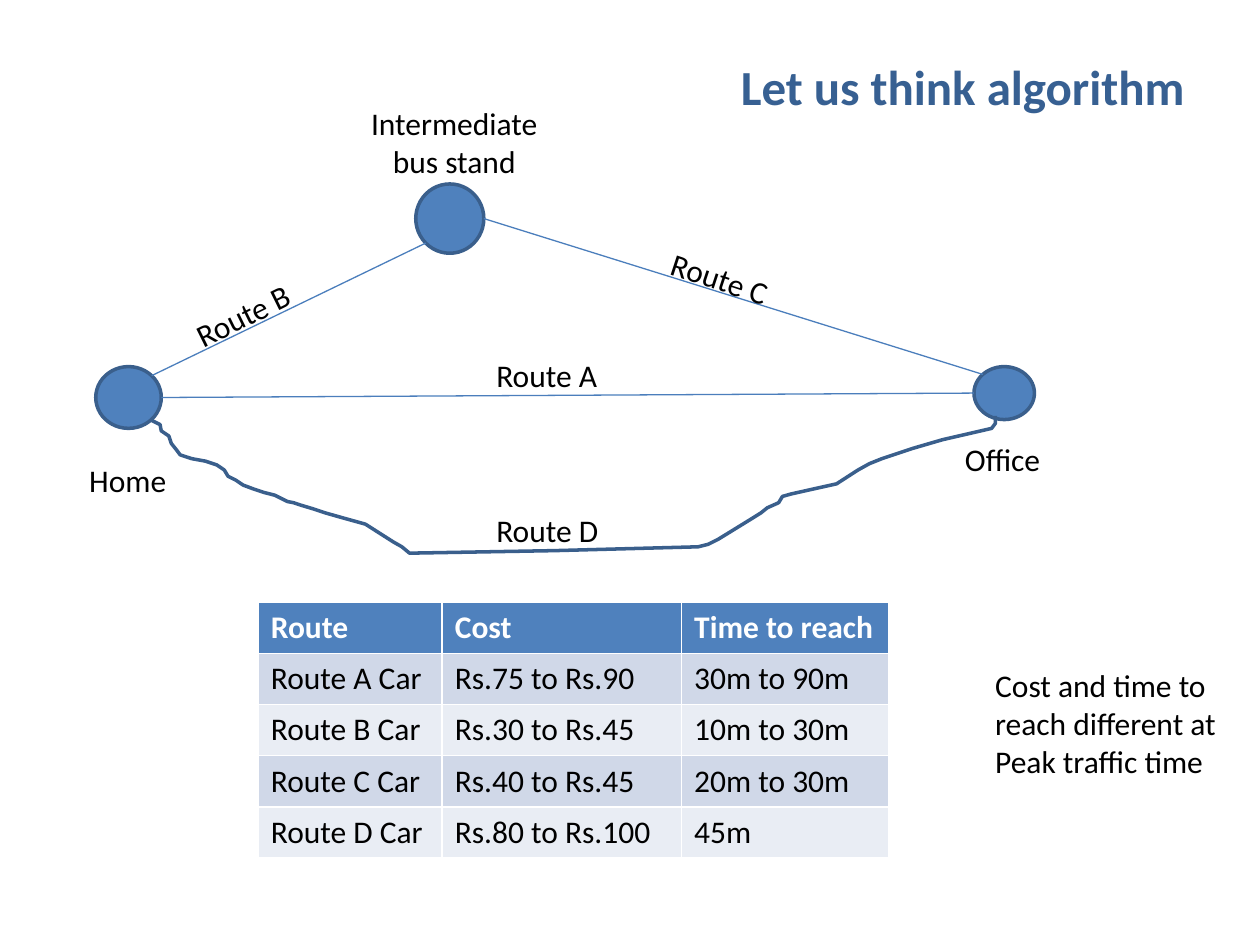
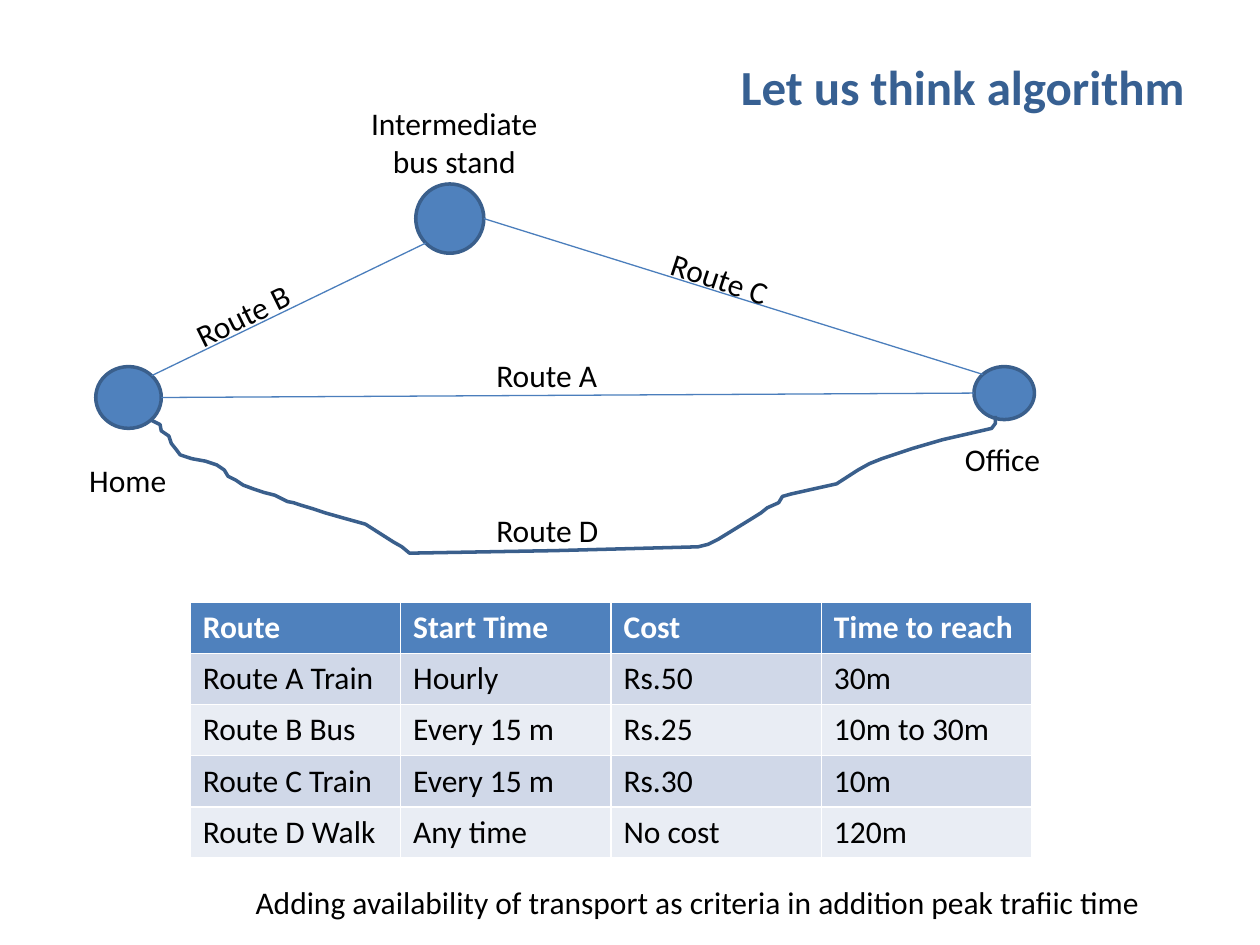
from math import cos, radians, sin

from lxml.etree import SubElement
from pptx import Presentation
from pptx.dml.color import RGBColor
from pptx.enum.shapes import MSO_CONNECTOR, MSO_SHAPE
from pptx.enum.text import MSO_ANCHOR, MSO_AUTO_SIZE, PP_ALIGN
from pptx.oxml.ns import qn
from pptx.util import Inches, Pt

FONT = "Calibri"
TITLE_BLUE = RGBColor(0x37, 0x60, 0x92)
BLUE = RGBColor(0x4F, 0x81, 0xBD)
OUTLINE_BLUE = RGBColor(0x3A, 0x5F, 0x8C)
ROUTE_BLUE = RGBColor(0x4B, 0x7E, 0xBC)
DARK_BAND = RGBColor(0xD0, 0xD8, 0xE8)
LIGHT_BAND = RGBColor(0xE9, 0xED, 0xF4)
WHITE = RGBColor(0xFF, 0xFF, 0xFF)
BLACK = RGBColor(0, 0, 0)

TITLE = "Let us think algorithm"
TITLE_BOX = (1.61, 0.38, 7.89, 0.61)
TABLE_TOP, TABLE_HEIGHT = 4.78, 2.03

# Places: left, top, width, height
PLACES = {
    "Home": (0.76, 2.91, 0.52, 0.49),
    "Office": (7.73, 2.91, 0.48, 0.42),
    "Bus stand": (3.3, 1.46, 0.54, 0.55),
}
# Straight routes: place and angle on its rim (clockwise from the right), twice
STRAIGHT_ROUTES = [
    ("Home", 0, "Office", 180),
    ("Home", -45, "Bus stand", 135),
    ("Bus stand", 0, "Office", -135),
]
WALKING_ROUTE = [
    (1.19, 3.33), (1.27, 3.37), (1.28, 3.42), (1.34, 3.46), (1.36, 3.52),
    (1.4, 3.57), (1.43, 3.61), (1.52, 3.64), (1.63, 3.66), (1.72, 3.69),
    (1.78, 3.73), (1.81, 3.78), (1.87, 3.81), (1.93, 3.85), (2.01, 3.88),
    (2.1, 3.91), (2.18, 3.93), (2.28, 3.98), (2.33, 3.99), (2.39, 4.01),
    (2.49, 4.04), (2.58, 4.07), (2.72, 4.11), (2.9, 4.16), (3.12, 4.3),
    (3.19, 4.34), (3.25, 4.39), (4.4, 4.37), (5.54, 4.34), (5.62, 4.32),
    (5.7, 4.28), (5.83, 4.2), (5.96, 4.12), (6.04, 4.07), (6.09, 4.03),
    (6.18, 3.99), (6.21, 3.94), (6.28, 3.92), (6.37, 3.9), (6.64, 3.84),
    (6.81, 3.73), (6.9, 3.68), (7, 3.64), (7.24, 3.56), (7.48, 3.49),
    (7.87, 3.4), (7.9, 3.36), (7.9, 3.3),
]
# Labels: text, box, rotation
LABELS = [
    ("Home", (0.61, 3.61, 0.82, 0.4), 0),
    ("Office", (7.56, 3.44, 0.81, 0.4), 0),
    ("Route A", (3.84, 2.78, 1.01, 0.4), 0),
    ("Route B", (1.43, 2.3, 1, 0.4), 333.7),
    ("Route C", (5.22, 2.01, 1, 0.4), 18.2),
    ("Route D", (3.84, 4.01, 1.02, 0.4), 0),
]
BUS_STAND_LABEL = ("Intermediate bus stand", (2.66, 0.78, 1.89, 0.71))

SLIDES = [
    {
        "grouped": False,
        "table_left": 2.05,
        "columns": [1.46, 1.9, 1.64],
        "rows": [
            ("Route", "Cost", "Time to reach"),
            ("Route A Car", "Rs.75 to Rs.90", "30m to 90m"),
            ("Route B Car", "Rs.30 to Rs.45", "10m to 30m"),
            ("Route C Car", "Rs.40 to Rs.45", "20m to 30m"),
            ("Route D Car", "Rs.80 to Rs.100", "45m"),
        ],
        "note": "Cost and time to reach different at Peak traffic time",
        "note_box": (7.8, 5.24, 2.07, 1.01),
        "note_wraps": True,
    },
    {
        "grouped": True,
        "table_left": 1.51,
        "columns": [1.67] * 4,
        "rows": [
            ("Route", "Start Time", "Cost", "Time to reach"),
            ("Route A Train", "Hourly", "Rs.50", "30m"),
            ("Route B Bus", "Every 15 m", "Rs.25", "10m to 30m"),
            ("Route C Train", "Every 15 m", "Rs.30", "10m"),
            ("Route D Walk", "Any time", "No cost", "120m"),
        ],
        "note": "Adding availability of transport as criteria in addition peak trafiic time",
        "note_box": (1.93, 6.96, 7.3, 0.4),
        "note_wraps": False,
    },
]


def inches(values):
    return [Inches(value) for value in values]


def style_text(text_frame, size=18, color=BLACK, bold=False, align=PP_ALIGN.LEFT):
    for paragraph in text_frame.paragraphs:
        paragraph.alignment = align
        font = paragraph.font
        font.name, font.size, font.bold = FONT, Pt(size), bold
        font.color.rgb = color


def add_title(slide):
    title = slide.shapes.title
    title.left, title.top, title.width, title.height = inches(TITLE_BOX)
    frame = title.text_frame
    frame.text = TITLE
    frame.auto_size = MSO_AUTO_SIZE.NONE
    frame.vertical_anchor = MSO_ANCHOR.MIDDLE
    style_text(frame, 28, TITLE_BLUE, True, PP_ALIGN.RIGHT)


def add_label(shapes, text, box, wrap=False, align=PP_ALIGN.LEFT, rotation=0):
    label = shapes.add_textbox(*inches(box))
    label.rotation = rotation
    frame = label.text_frame
    frame.text = text
    frame.word_wrap = wrap
    frame.auto_size = MSO_AUTO_SIZE.SHAPE_TO_FIT_TEXT
    style_text(frame, align=align)


def outline(shape):
    shape.shadow.inherit = False
    shape.line.color.rgb = OUTLINE_BLUE
    shape.line.width = Pt(2)


def rim_point(place, angle):
    """Point on the ellipse of a place, in inches."""
    left, top, width, height = PLACES[place]
    return (left + width / 2 * (1 + cos(radians(angle))),
            top + height / 2 * (1 + sin(radians(angle))))


def add_route_map(shapes):
    for box in PLACES.values():
        place = shapes.add_shape(MSO_SHAPE.OVAL, *inches(box))
        place.fill.solid()
        place.fill.fore_color.rgb = BLUE
        outline(place)

    for start, start_angle, end, end_angle in STRAIGHT_ROUTES:
        ends = rim_point(start, start_angle) + rim_point(end, end_angle)
        route = shapes.add_connector(MSO_CONNECTOR.STRAIGHT, *inches(ends))
        route.line.color.rgb = ROUTE_BLUE
        route.line.width = Pt(0.75)
        SubElement(route._element.spPr, qn("a:effectLst"))

    first, *others = [inches(point) for point in WALKING_ROUTE]
    builder = shapes.build_freeform(*first)
    builder.add_line_segments(others, close=False)
    walk = builder.convert_to_shape()
    walk.fill.background()
    outline(walk)

    for text, box, rotation in LABELS:
        add_label(shapes, text, box, rotation=rotation)
    add_label(shapes, *BUS_STAND_LABEL, wrap=True, align=PP_ALIGN.CENTER)


def add_route_table(slide, left, columns, rows):
    box = inches((left, TABLE_TOP, sum(columns), TABLE_HEIGHT))
    table = slide.shapes.add_table(len(rows), len(columns), *box).table
    for column, width in zip(table.columns, columns):
        column.width = Inches(width)
    for row_index, row in enumerate(rows):
        is_header = row_index == 0
        band = BLUE if is_header else DARK_BAND if row_index % 2 else LIGHT_BAND
        for column_index, text in enumerate(row):
            cell = table.cell(row_index, column_index)
            cell.text = text
            cell.fill.solid()
            cell.fill.fore_color.rgb = band
            style_text(cell.text_frame, color=WHITE if is_header else BLACK, bold=is_header)


def main():
    presentation = Presentation()
    presentation.slide_width, presentation.slide_height = Inches(10), Inches(7.5)
    title_only = presentation.slide_layouts.get_by_name("Title Only")
    for content in SLIDES:
        slide = presentation.slides.add_slide(title_only)
        add_title(slide)
        shapes = slide.shapes
        add_route_map(shapes.add_group_shape().shapes if content["grouped"] else shapes)
        add_route_table(slide, content["table_left"], content["columns"], content["rows"])
        add_label(shapes, content["note"], content["note_box"], content["note_wraps"])
    presentation.save("out.pptx")


if __name__ == "__main__":
    main()
